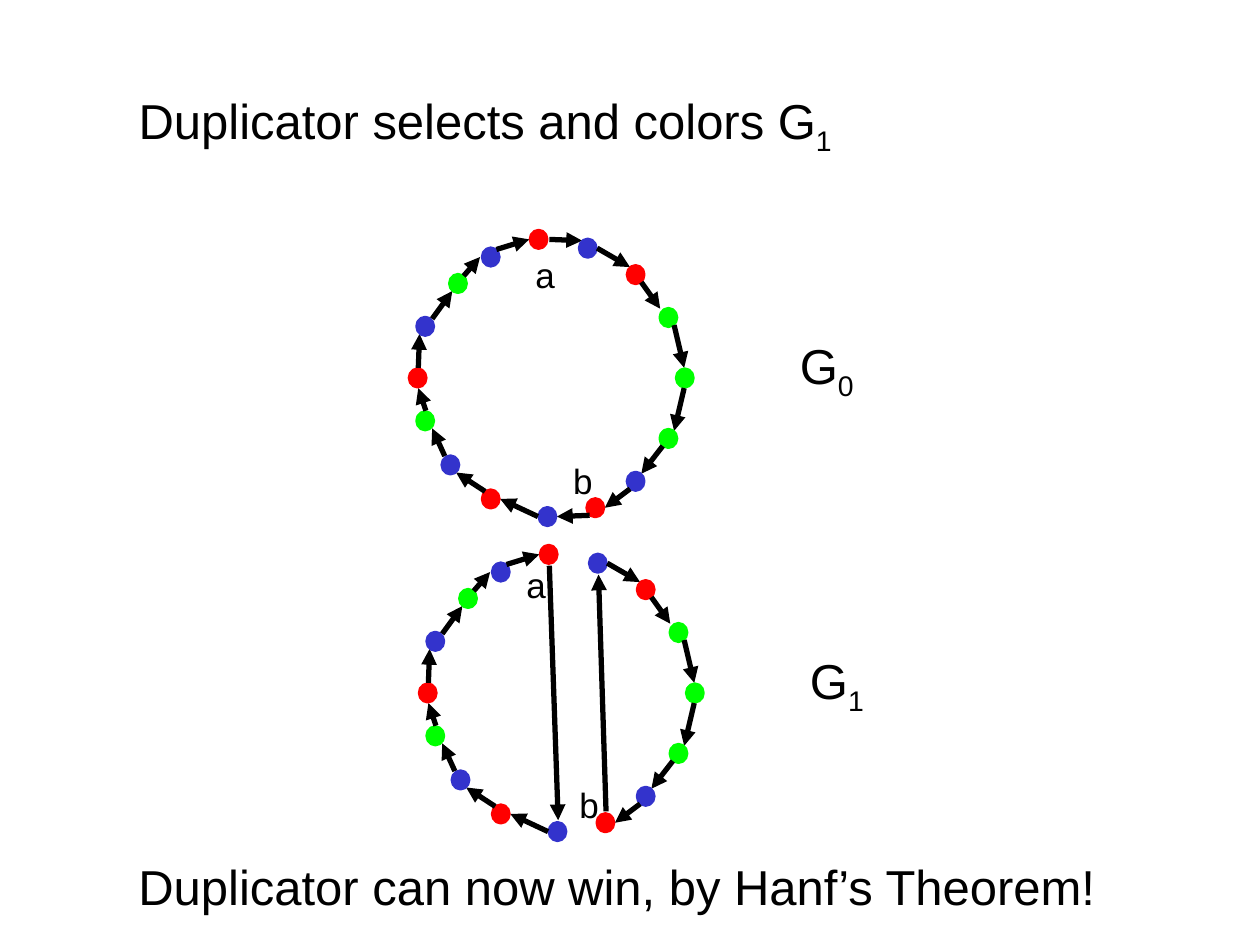
"""Build the slide on the Duplicator's colouring of G0 and G1."""
from lxml.etree import SubElement
from pptx import Presentation
from pptx.dml.color import RGBColor
from pptx.enum.shapes import MSO_CONNECTOR, MSO_SHAPE
from pptx.enum.text import MSO_ANCHOR, MSO_AUTO_SIZE, PP_ALIGN
from pptx.oxml.ns import qn
from pptx.util import Inches, Pt

BLACK = RGBColor(0x00, 0x00, 0x00)
RED = RGBColor(0xFF, 0x00, 0x00)
GREEN = RGBColor(0x00, 0xFF, 0x00)
BLUE = RGBColor(0x33, 0x33, 0xCC)

TITLE = ("Duplicator selects and colors G", "1", (1, 0.67, 5.79, 0.57), 28)
LABELS = [
    ("G", "0", (6.25, 2.61, 0.65, 0.57), 28),
    ("a", "", (4.15, 1.96, 0.36, 0.43), 20),
    ("b", "", (4.45, 3.6, 0.36, 0.43), 20),
    ("G", "1", (6.33, 5.11, 0.65, 0.57), 28),
    ("a", "", (4.08, 4.42, 0.36, 0.43), 20),
    ("b", "", (4.5, 6.17, 0.36, 0.43), 20),
    ("Duplicator can now win, by Hanf’s Theorem!", "", (1, 6.75, 7.89, 0.57), 28),
]
NODE_SIZE = (0.13, 0.14)
RING = [
    (RED, (4.21, 1.83), (4.36, 1.9, 4.62, 1.91)),
    (BLUE, (4.6, 1.9), (4.74, 1.97, 5, 2.12)),
    (RED, (4.98, 2.11), (5.09, 2.24, 5.24, 2.45)),
    (GREEN, (5.24, 2.45), (5.35, 2.58, 5.43, 2.92)),
    (GREEN, (5.37, 2.93), (5.43, 3.08, 5.35, 3.42)),
    (GREEN, (5.24, 3.41), (5.26, 3.54, 5.09, 3.76)),
    (BLUE, (4.98, 3.75), (5, 3.88, 4.8, 4.03)),
    (RED, (4.66, 3.96), (4.68, 4.09, 4.42, 4.1)),
    (BLUE, (4.28, 4.03), (4.27, 4.1, 3.97, 3.96)),
    (RED, (3.83, 3.89), (3.85, 3.9, 3.62, 3.75)),
    (BLUE, (3.51, 3.62), (3.53, 3.62, 3.43, 3.4)),
    (GREEN, (3.31, 3.27), (3.38, 3.26, 3.32, 3.08)),
    (RED, (3.25, 2.93), (3.32, 2.92, 3.33, 2.65)),
    (BLUE, (3.31, 2.52), (3.43, 2.53, 3.59, 2.31)),
    (GREEN, (3.57, 2.18), (3.68, 2.19, 3.81, 2.04)),
    (BLUE, (3.83, 1.97), (3.94, 1.98, 4.2, 1.9)),
]
SWITCHED_ARROWS = {0: (4.28, 1.99, 4.35, 4.01), 7: (4.73, 3.94, 4.67, 2.06)}
GRAPHS = [((0, 0), {}), ((0.08, 2.5), SWITCHED_ARROWS)]


def write_label(box, text, subscript, place, size):
    box.left, box.top, box.width, box.height = map(Inches, place)
    frame = box.text_frame
    frame_format = {
        "word_wrap": False,
        "auto_size": MSO_AUTO_SIZE.SHAPE_TO_FIT_TEXT,
        "vertical_anchor": MSO_ANCHOR.TOP,
    }
    for name, value in frame_format.items():
        setattr(frame, name, value)
    para = frame.paragraphs[0]
    para.alignment = PP_ALIGN.LEFT
    para.line_spacing = 1.0
    para.space_before = Pt(0)
    for content, baseline in ((text, None), (subscript, "-25000")):
        if content:
            span = para.add_run()
            span.text = content
            for name, value in {"name": "Arial", "size": Pt(size), "bold": False}.items():
                setattr(span.font, name, value)
            span.font.color.rgb = BLACK
            if baseline:
                span.font._element.set("baseline", baseline)


def add_node(page, color, left, top):
    node = page.shapes.add_shape(
        MSO_SHAPE.OVAL, *map(Inches, (left, top, *NODE_SIZE)))
    node.shadow.inherit = False
    node.fill.solid()
    node.fill.fore_color.rgb = color
    node.line.color.rgb = color
    node.line.width = Pt(2)


def add_arrow(page, ends):
    arrow = page.shapes.add_connector(MSO_CONNECTOR.STRAIGHT, *map(Inches, ends))
    arrow.line.color.rgb = BLACK
    arrow.line.width = Pt(3)
    SubElement(arrow.line._get_or_add_ln(), qn("a:tailEnd"), type="triangle")
    SubElement(arrow._element.spPr, qn("a:effectLst"))


def main():
    deck = Presentation()
    deck.slide_width, deck.slide_height = Inches(10), Inches(7.5)
    page = deck.slides.add_slide(deck.slide_layouts[5])
    write_label(page.shapes.title, *TITLE)
    for (dx, dy), switched in GRAPHS:
        for index, (color, (left, top), arrow) in enumerate(RING):
            add_node(page, color, left + dx, top + dy)
            x1, y1, x2, y2 = switched.get(index, arrow)
            add_arrow(page, (x1 + dx, y1 + dy, x2 + dx, y2 + dy))
    for text, subscript, place, size in LABELS:
        box = page.shapes.add_textbox(*map(Inches, place))
        write_label(box, text, subscript, place, size)
    deck.save("out.pptx")


if __name__ == "__main__":
    main()
